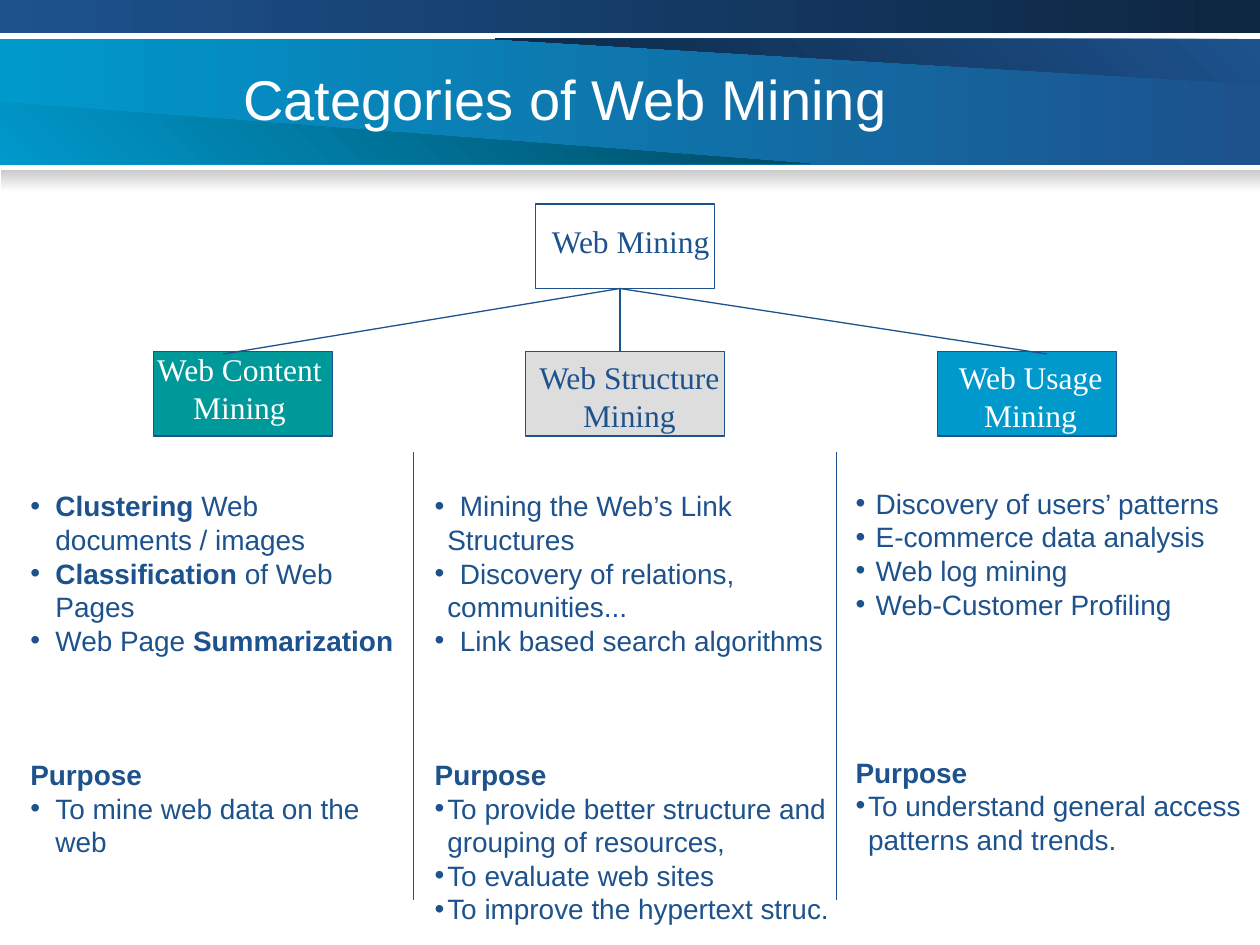
"""Build a slide that compares the three categories of web mining."""
from dataclasses import dataclass

import lxml.etree
import pptx
import pptx.dml.color
import pptx.enum.shapes
import pptx.enum.text
import pptx.oxml.ns
import pptx.util
from pptx.util import Inches

COLORS = {
    "navy": "1D528D", "midnight": "0D2641", "sky": "0099CC", "deep teal": "00475E",
    "teal": "009999", "silver": "DDDDDD", "shade": "CACACA", "white": "FFFFFF",
}
Box = tuple[float, float, float, float]
Point = tuple[float, float]


@dataclass
class Band:
    """A gradient area; the angle runs counterclockwise."""
    outline: list[Point]
    start: str
    end: str
    angle: int = 0


@dataclass
class Node:
    """A box of the category tree with its label."""
    box: Box
    label_box: Box
    lines: list[str]
    fill: str | None = None
    text_color: str = "navy"


@dataclass
class Item:
    """A list paragraph; double asterisks enclose bold words."""
    text: str
    margin: float
    indent: float
    bullet: bool = True
    space_before: float = 0
    tab: float | None = None


def rectangle(left: float, top: float, width: float, height: float) -> list[Point]:
    """Return the corners of a rectangle."""
    right, bottom = left + width, top + height
    return [(left, top), (right, top), (right, bottom), (left, bottom)]


BANDS = [
    Band(rectangle(0, 0.31, 10, 1), "sky", "navy"),
    Band([(3.93, 0.31), (10, 0.67), (10, 0.31)], "navy", "midnight", 225),
    Band([(0, 1.3), (6.43, 1.3), (0, 0.81)], "sky", "deep teal", 45),
    Band(rectangle(0, 0, 10, 0.26), "navy", "midnight"),
    Band(rectangle(0.01, 1.35, 9.99, 0.17), "shade", "white", 270),
]
NODES = [
    Node((4.25, 1.62, 1.42, 0.67), (4.27, 1.71, 1.47, 0.4), ["Web Mining"]),
    Node((1.22, 2.79, 1.42, 0.67), (1.14, 2.73, 1.52, 0.7), ["Web Content", "Mining"], "teal", "white"),
    Node((4.17, 2.79, 1.58, 0.67), (4.17, 2.79, 1.65, 0.7), ["Web Structure", "Mining"], "silver"),
    Node((7.44, 2.79, 1.42, 0.67), (7.5, 2.79, 1.36, 0.7), ["Web Usage", "Mining"], "sky", "white"),
]
ROOT = (4.92, 2.29)
LINES = [(ROOT, end) for end in [(1.77, 2.81), (4.92, 2.79), (8.31, 2.81)]]
LINES += [((x, 3.59), (x, 7.14)) for x in (3.28, 6.64)]
LINE_PITCH = 1.2
LIST_SIZE = 16
BLANK_LINE = LIST_SIZE * LINE_PITCH

COLUMNS: list[tuple[Box, list[Item]]] = [
    ((0.04, 3.83, 3.32, 3.3), [
        Item("**Clustering** Web documents / images", 0.3, -0.2),
        Item("**Classification** of Web Pages", 0.3, -0.2),
        Item("Web Page **Summarization**", 0.3, -0.2),
        Item("**Purpose**", 0.3, -0.2, False, 3 * BLANK_LINE),
        Item("To mine web data on the web", 0.3, -0.2),
    ]),
    ((3.35, 3.83, 3.92, 3.57), [
        Item("\tMining the Web’s Link\nStructures", 0.1, -0.1, tab=0.2),
        Item("\tDiscovery of relations,\ncommunities...", 0.1, -0.1, tab=0.2),
        Item("\tLink based search algorithms", 0.1, -0.1, tab=0.2),
        Item("**Purpose**", 0.1, -0.1, False, 3 * BLANK_LINE),
        Item("To provide better structure and grouping of resources,", 0.1, -0.1),
        Item("To evaluate web sites", 0.1, -0.1),
        Item("To improve the hypertext struc.", 0.1, -0.1),
    ]),
    ((6.59, 3.81, 3.41, 3.57), [
        Item("Discovery of users’ patterns", 0.26, -0.16),
        Item("E-commerce data analysis", 0.26, -0.16),
        Item("Web log mining", 0.26, -0.16),
        Item("Web-Customer Profiling", 0.26, -0.16),
        Item("**Purpose**", 0.2, -0.1, False, 4 * BLANK_LINE),
        Item("To understand general access patterns and trends.", 0.2, -0.1),
    ]),
]


def rgb(name: str) -> pptx.dml.color.RGBColor:
    """Look up a named colour."""
    return pptx.dml.color.RGBColor.from_string(COLORS[name])


def add_element(parent, tag: str, **attributes: str):
    """Append a drawing element."""
    return lxml.etree.SubElement(parent, pptx.oxml.ns.qn(tag), attributes)


def set_font(paragraph, name: str, size: float, color: str) -> None:
    """Format a whole paragraph."""
    paragraph.font.name = name
    paragraph.font.size = pptx.util.Pt(size)
    paragraph.font.color.rgb = rgb(color)


def place(shape, box: Box) -> None:
    """Move and size a shape."""
    shape.left, shape.top, shape.width, shape.height = map(Inches, box)


def draw_band(slide, band: Band) -> None:
    """Draw a gradient area."""
    points = [(Inches(x), Inches(y)) for x, y in band.outline]
    builder = slide.shapes.build_freeform(*points[0])
    builder.add_line_segments(points[1:])
    shape = builder.convert_to_shape()
    shape.shadow.inherit = False
    shape.line.fill.background()
    shape.fill.gradient()
    shape.fill.gradient_angle = band.angle
    for stop, color in zip(shape.fill.gradient_stops, (band.start, band.end)):
        stop.color.rgb = rgb(color)


def draw_line(slide, start: Point, end: Point) -> None:
    """Draw a thin straight line."""
    straight = pptx.enum.shapes.MSO_CONNECTOR.STRAIGHT
    connector = slide.shapes.add_connector(straight, *map(Inches, start + end))
    connector.line.color.rgb = rgb("navy")
    connector.line.width = pptx.util.Pt(0.75)
    add_element(connector.element.spPr, "a:effectLst")


def draw_node(slide, node: Node) -> None:
    """Draw a tree box and its label."""
    rectangle_type = pptx.enum.shapes.MSO_SHAPE.RECTANGLE
    shape = slide.shapes.add_shape(rectangle_type, *map(Inches, node.box))
    shape.shadow.inherit = False
    shape.line.color.rgb = rgb("navy")
    shape.line.width = pptx.util.Pt(0.75)
    if node.fill:
        shape.fill.solid()
        shape.fill.fore_color.rgb = rgb(node.fill)
    else:
        shape.fill.background()
    frame = slide.shapes.add_textbox(*map(Inches, node.label_box)).text_frame
    frame.word_wrap = False
    frame.text = "\n".join(node.lines)
    for paragraph in frame.paragraphs:
        paragraph.alignment = pptx.enum.text.PP_ALIGN.CENTER
        paragraph.line_spacing = pptx.util.Pt(18 * LINE_PITCH)
        set_font(paragraph, "Times New Roman", 18, node.text_color)


def write_item(paragraph, item: Item) -> None:
    """Write one list paragraph."""
    properties = paragraph._p.get_or_add_pPr()
    properties.set("marL", str(Inches(item.margin)))
    properties.set("indent", str(Inches(item.indent)))
    if item.bullet:
        add_element(add_element(properties, "a:buClr"), "a:srgbClr", val=COLORS["navy"])
        add_element(properties, "a:buChar", char="•")
    else:
        add_element(properties, "a:buNone")
    if item.tab:
        add_element(add_element(properties, "a:tabLst"), "a:tab", pos=str(Inches(item.tab)), algn="l")
    paragraph.alignment = pptx.enum.text.PP_ALIGN.LEFT
    paragraph.line_spacing = pptx.util.Pt(BLANK_LINE)
    paragraph.space_before = pptx.util.Pt(item.space_before)
    set_font(paragraph, "Arial", LIST_SIZE, "navy")
    for number, line in enumerate(item.text.split("\n")):
        if number:
            paragraph.add_line_break()
        for position, words in enumerate(line.split("**")):
            if words:
                run = paragraph.add_run()
                run.text = words
                run.font.bold = position % 2 == 1


def fill_list(placeholder, box: Box, items: list[Item]) -> None:
    """Fill a body placeholder with list paragraphs."""
    place(placeholder, box)
    frame = placeholder.text_frame
    frame.word_wrap = True
    frame.auto_size = pptx.enum.text.MSO_AUTO_SIZE.NONE
    frame.vertical_anchor = pptx.enum.text.MSO_ANCHOR.TOP
    for number, item in enumerate(items):
        write_item(frame.add_paragraph() if number else frame.paragraphs[0], item)


def main() -> None:
    """Assemble and save the slide."""
    presentation = pptx.Presentation()
    presentation.slide_width, presentation.slide_height = Inches(10), Inches(7.5)
    slide = presentation.slides.add_slide(presentation.slide_layouts.get_by_name("Comparison"))
    title, *bodies, spare = list(slide.placeholders)
    tree = title.element.getparent()
    tree.remove(spare.element)
    for band in BANDS:
        draw_band(slide, band)
    for placeholder in (title, *bodies):
        tree.append(placeholder.element)
    place(title, (1.83, 0.3, 7.25, 0.95))
    title.text_frame.text = "Categories of Web Mining"
    title.text_frame.vertical_anchor = pptx.enum.text.MSO_ANCHOR.MIDDLE
    title.text_frame.paragraphs[0].alignment = pptx.enum.text.PP_ALIGN.LEFT
    set_font(title.text_frame.paragraphs[0], "Arial", 32, "white")
    for node in NODES:
        draw_node(slide, node)
    for start, end in LINES:
        draw_line(slide, start, end)
    for placeholder, (box, items) in zip(bodies, COLUMNS):
        fill_list(placeholder, box, items)
    presentation.save("out.pptx")


if __name__ == "__main__":
    main()
